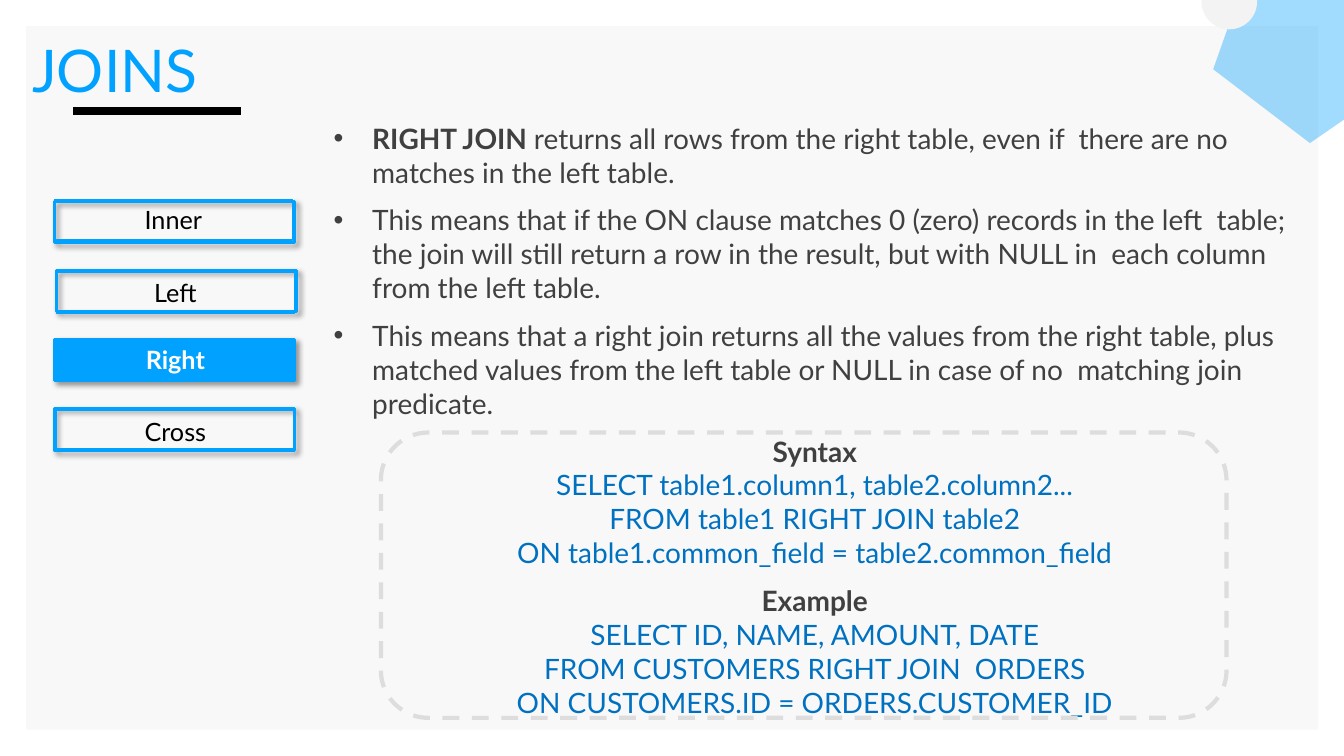
from lxml.etree import SubElement
from pptx import Presentation
from pptx.dml.color import RGBColor
from pptx.enum.dml import MSO_LINE
from pptx.enum.shapes import MSO_CONNECTOR, MSO_SHAPE
from pptx.enum.text import MSO_ANCHOR, MSO_AUTO_SIZE, PP_ALIGN
from pptx.oxml.ns import qn
from pptx.util import Cm, Pt

FONT = "Lato"
COLORS = {
    "blue": "00A1FF", "code": "0070C0", "text": "404040", "black": "000000",
    "white": "FFFFFF", "panel": "F8F8F8", "dot": "F3F3F3", "dash": "DDDDDD",
}
BULLETS = [
    ("RIGHT JOIN ", "returns all rows from the right table, even if  there are no "
     "matches in the left table."),
    ("", "This means that if the ON clause matches 0 (zero) records in the left  table; "
     "the join will still return a row in the result, but with NULL in  each column "
     "from the left table."),
    ("", "This means that a right join returns all the values from the right table, plus "
     "matched values from the left table or NULL in case of no  matching join predicate."),
]
SNIPPETS = {
    "Syntax": ["SELECT table1.column1, table2.column2...",
               "FROM table1 RIGHT JOIN table2",
               "ON table1.common_field = table2.common_field"],
    "Example": ["SELECT ID, NAME, AMOUNT, DATE",
                "FROM CUSTOMERS RIGHT JOIN  ORDERS",
                "ON CUSTOMERS.ID = ORDERS.CUSTOMER_ID"],
}
BUTTONS = [
    ("Inner", 1.37, 1.37, -0.05),
    ("Left", 1.42, 1.42, 0.05),
    ("Right", 1.37, 1.42, 0),
    ("Cross", 1.37, 1.42, 0.05),
]
BUTTON_TOP, BUTTON_STEP = 5.08, 1.74
ACTIVE = "Right"


def rgb(name):
    """Return the named colour."""
    return RGBColor.from_string(COLORS[name])


def style_run(r, size, color, bold=False):
    """Set the font of a run."""
    r.font.name = FONT
    r.font.size = Pt(size)
    r.font.bold = bold
    r.font.color.rgb = rgb(color)


def place(sp, left, top, width, height):
    """Move and size a shape, in centimetres."""
    sp.left, sp.top, sp.width, sp.height = Cm(left), Cm(top), Cm(width), Cm(height)


def add_box(s, kind, box, fill=None, line=None, weight=1):
    """Add a preset shape without a shadow."""
    sp = s.shapes.add_shape(kind, *[Cm(v) for v in box])
    sp.shadow.inherit = False
    if fill:
        sp.fill.solid()
        sp.fill.fore_color.rgb = rgb(fill)
    else:
        sp.fill.background()
    if line:
        sp.line.color.rgb = rgb(line)
        sp.line.width = Pt(weight)
    else:
        sp.line.fill.background()
    return sp


def add_alpha(color, percent):
    """Make a colour element transparent."""
    SubElement(color, qn("a:alpha"), val=str(percent * 1000))


def add_shadow(sp):
    """Give a shape a soft shadow to the lower right."""
    effects = sp._element.spPr.find(qn("a:effectLst"))
    shadow = SubElement(effects, qn("a:outerShdw"), blurRad=str(Pt(4)), dist=str(Pt(3)),
                        dir="2700000", algn="tl", rotWithShape="0")
    add_alpha(SubElement(shadow, qn("a:srgbClr"), val=COLORS["black"]), 40)


def add_backdrop(s):
    """Add the panel behind the text and the corner decoration."""
    panel = add_box(s, MSO_SHAPE.RECTANGLE, (0.66, 0.66, 32.56, 17.73), "panel")
    s.shapes._spTree.insert(2, panel._element)
    pentagon = add_box(s, MSO_SHAPE.REGULAR_PENTAGON, (30.45, -1.57, 4.98, 4.72), "blue")
    pentagon.rotation = 325.4
    add_alpha(pentagon._element.spPr.find(qn("a:solidFill"))[0], 37)
    add_box(s, MSO_SHAPE.OVAL, (30.28, -0.66, 1.4, 1.4), "dot")


def prepare_frame(sp):
    """Set margins, anchor and wrapping of a placeholder."""
    tf = sp.text_frame
    tf.auto_size = MSO_AUTO_SIZE.NONE
    tf.word_wrap = True
    tf.vertical_anchor = MSO_ANCHOR.TOP
    tf.margin_left = tf.margin_right = tf.margin_bottom = 0
    tf.margin_top = Cm(0.03)
    return tf


def fill_title(s):
    """Write the title and draw the rule below it."""
    place(s.shapes.title, 0.81, 0.81, 33.05, 1.4)
    tf = prepare_frame(s.shapes.title)
    tf.text = "JOINS"
    p = tf.paragraphs[0]
    p.alignment = PP_ALIGN.LEFT
    style_run(p.runs[0], 42, "blue")
    rule = s.shapes.add_connector(MSO_CONNECTOR.STRAIGHT, Cm(1.85), Cm(2.79), Cm(6.07), Cm(2.79))
    rule.line.color.rgb = rgb("black")
    rule.line.width = Pt(6)
    SubElement(rule._element.spPr, qn("a:effectLst"))


def add_line(tf, runs, before=0, bullet=False):
    """Add a paragraph of (text, colour, bold) runs."""
    p = tf.paragraphs[0] if not tf.text else tf.add_paragraph()
    pPr = p._p.get_or_add_pPr()
    pPr.set("marL", str(Cm(1) if bullet else 0))
    pPr.set("indent", str(-Cm(0.97) if bullet else 0))
    if bullet:
        SubElement(SubElement(pPr, qn("a:buClr")), qn("a:srgbClr"), val=COLORS["text"])
        SubElement(pPr, qn("a:buChar"), char="•")
    else:
        SubElement(pPr, qn("a:buNone"))
    p.alignment = PP_ALIGN.LEFT if bullet else PP_ALIGN.CENTER
    p.line_spacing = 1.01
    p.space_before = Pt(before)
    for text, color, bold in runs:
        r = p.add_run()
        r.text = text
        style_run(r, 20, color, bold)


def fill_body(s):
    """Write the bullets and the code lines, and frame the code."""
    body = s.placeholders[1]
    place(body, 8.38, 3.02, 24.31, 14.55)
    tf = prepare_frame(body)
    for i, (lead, text) in enumerate(BULLETS):
        runs = [(lead, "text", True)] if lead else []
        add_line(tf, runs + [(text, "text", False)], 9.8 if i else 0, bullet=True)
    for heading, lines in SNIPPETS.items():
        add_line(tf, [(heading, "text", True)], 9.8)
        for line in lines:
            add_line(tf, [(line, "code", False)])
    frame = add_box(s, MSO_SHAPE.ROUNDED_RECTANGLE, (9.6, 10.9, 21.31, 7.19), None, "dash", 3)
    frame.line.dash_style = MSO_LINE.DASH


def add_button(s, name, top, frame_left, label_left, label_shift):
    """Add a shadowed frame with a label box over it."""
    active = name == ACTIVE
    fill = "blue" if active else None
    frame = add_box(s, MSO_SHAPE.RECTANGLE, (frame_left, top, 6.05, 1.04), fill, "blue", 2.25)
    add_shadow(frame)
    label = add_box(s, MSO_SHAPE.RECTANGLE, (label_left, top + label_shift, 6, 1.02),
                    fill, "blue", 0.75)
    label.text_frame.text = name
    p = label.text_frame.paragraphs[0]
    p.alignment = PP_ALIGN.CENTER
    style_run(p.runs[0], 18, "white" if active else "black", active)


def main():
    """Build the slide and save it."""
    prs = Presentation()
    prs.slide_width, prs.slide_height = Cm(33.87), Cm(19.05)
    s = prs.slides.add_slide(prs.slide_layouts[1])
    fill_title(s)
    add_backdrop(s)
    fill_body(s)
    for i, (name, *offsets) in enumerate(BUTTONS):
        add_button(s, name, BUTTON_TOP + i * BUTTON_STEP, *offsets)
    prs.save("out.pptx")


if __name__ == "__main__":
    main()
